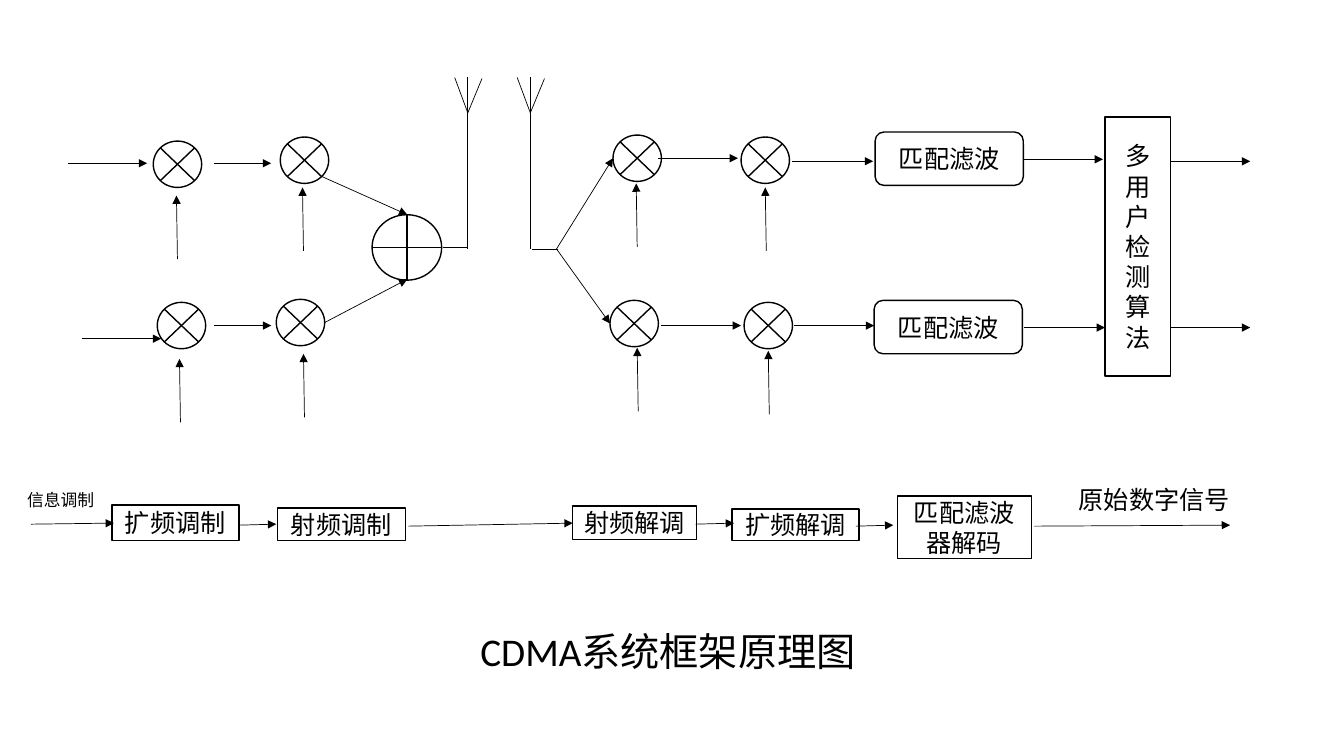
from typing import NamedTuple

import pptx
import pptx.dml.color
import pptx.enum.shapes
import pptx.enum.text
import pptx.oxml.ns
import pptx.util
from lxml import etree

EMU_PER_PX = 9144  # 100 px to the inch
BLACK, WHITE = "000000", "FFFFFF"
FONT = "Calibri"
SHAPES = pptx.enum.shapes.MSO_SHAPE
ALIGN = pptx.enum.text.PP_ALIGN
ANCHOR = pptx.enum.text.MSO_ANCHOR


class Mixer(NamedTuple):
    left: int
    top: int
    carrier_x: int
    carrier_tip: int


class Block(NamedTuple):
    text: str
    left: int
    top: int
    width: int
    height: int
    preset: int = SHAPES.RECTANGLE


class Signal(NamedTuple):
    x1: int
    y1: int
    x2: int
    y2: int
    arrow: bool = True


class Label(NamedTuple):
    text: str
    left: int
    top: int
    width: int
    height: int
    size: int
    wrap: bool


MIXER_WIDTH, MIXER_HEIGHT, CARRIER_LENGTH = 48, 46, 63
MIXERS = [
    Mixer(152, 140, 175, 194), Mixer(278, 136, 300, 186),
    Mixer(156, 300, 178, 356), Mixer(274, 297, 301, 351),
    Mixer(608, 134, 631, 182), Mixer(735, 136, 759, 186),
    Mixer(605, 298, 632, 345), Mixer(738, 300, 762, 348),
]
ADDER = (369, 213, 69, 65)
ANTENNA_XS = (464, 526)

BLOCKS = [
    Block("匹配滤波", 868, 131, 147, 53, SHAPES.ROUNDED_RECTANGLE),
    Block("匹配滤波", 867, 298, 147, 53, SHAPES.ROUNDED_RECTANGLE),
    Block("多用户检测算法", 1096, 116, 65, 257),
    Block("扩频调制", 111, 501, 126, 35),
    Block("射频调制", 275, 504, 127, 32),
    Block("射频解调", 568, 502, 123, 33),
    Block("扩频解调", 726, 505, 126, 31),
    Block("匹配滤波器解码", 890, 492, 133, 62),
]

SIGNALS = [
    # Transmitter inputs and the links between its mixers
    Signal(67, 162, 146, 162), Signal(81, 336, 160, 336),
    Signal(212, 162, 269, 162), Signal(212, 323, 269, 323),
    # Adder inputs and output
    Signal(319, 175, 404, 213), Signal(322, 320, 404, 277),
    Signal(439, 245, 464, 245, False),
    # Receiver split
    Signal(528, 247, 553, 247, False),
    Signal(552, 247, 608, 157), Signal(552, 247, 605, 321),
    # Receiver branches
    Signal(653, 157, 732, 157), Signal(656, 323, 735, 323),
    Signal(786, 160, 866, 160), Signal(788, 323, 867, 323),
    Signal(1015, 158, 1094, 158), Signal(1016, 325, 1096, 325),
    Signal(1161, 160, 1240, 160), Signal(1161, 325, 1240, 325),
    # Summary chain
    Signal(31, 520, 113, 519), Signal(237, 521, 274, 520),
    Signal(405, 522, 568, 519), Signal(690, 520, 728, 519),
    Signal(849, 522, 886, 521), Signal(1026, 522, 1220, 521),
]

LABELS = [
    Label("信息调制", 17, 481, 90, 30, 12, True),
    Label("原始数字信号", 1060, 476, 172, 40, 18, False),
]


def px(length: int) -> pptx.util.Emu:
    return pptx.util.Emu(length * EMU_PER_PX)


def paint(color_format, hex_color: str) -> None:
    color_format.rgb = pptx.dml.color.RGBColor.from_string(hex_color)


def write(frame, text: str, size: int, align) -> None:
    frame.text = text
    paragraph = frame.paragraphs[0]
    paragraph.alignment = align
    font = paragraph.runs[0].font
    font.name = FONT
    font.size = pptx.util.Pt(size)
    paint(font.color, BLACK)


def draw_shape(slide, preset: int, left: int, top: int, width: int, height: int):
    shape = slide.shapes.add_shape(preset, px(left), px(top), px(width), px(height))
    shape.shadow.inherit = False
    shape.fill.solid()
    paint(shape.fill.fore_color, WHITE)
    paint(shape.line.color, BLACK)
    shape.line.width = pptx.util.Pt(1)
    return shape


def draw_signal(slide, signal: Signal) -> None:
    line = slide.shapes.add_connector(
        pptx.enum.shapes.MSO_CONNECTOR.STRAIGHT,
        px(signal.x1), px(signal.y1), px(signal.x2), px(signal.y2))
    paint(line.line.color, BLACK)
    line.line.width = pptx.util.Pt(0.5)
    qn = pptx.oxml.ns.qn
    properties = line._element.spPr
    if signal.arrow:
        etree.SubElement(properties.find(qn("a:ln")), qn("a:tailEnd"), type="triangle")
    etree.SubElement(properties, qn("a:effectLst"))


def draw_mixer(slide, mixer: Mixer) -> None:
    draw_shape(slide, SHAPES.FLOWCHART_SUMMING_JUNCTION,
               mixer.left, mixer.top, MIXER_WIDTH, MIXER_HEIGHT)
    draw_signal(slide, Signal(mixer.carrier_x + 1, mixer.carrier_tip + CARRIER_LENGTH,
                              mixer.carrier_x, mixer.carrier_tip))


def draw_antenna(slide, x: int) -> None:
    draw_signal(slide, Signal(x, 247, x, 76, False))
    draw_signal(slide, Signal(x, 112, x - 13, 77, False))
    draw_signal(slide, Signal(x, 112, x + 14, 78, False))


def draw_block(slide, block: Block) -> None:
    shape = draw_shape(slide, block.preset, block.left, block.top,
                       block.width, block.height)
    shape.text_frame.vertical_anchor = ANCHOR.MIDDLE
    write(shape.text_frame, block.text, 18, ALIGN.CENTER)


def draw_label(slide, label: Label) -> None:
    box = slide.shapes.add_textbox(px(label.left), px(label.top),
                                   px(label.width), px(label.height))
    box.text_frame.word_wrap = label.wrap
    write(box.text_frame, label.text, label.size, ALIGN.LEFT)


def place_title(slide) -> None:
    title = slide.shapes.title
    title.left, title.top, title.width, title.height = map(px, (464, 617, 397, 57))
    frame = title.text_frame
    frame.word_wrap = True
    frame.auto_size = pptx.enum.text.MSO_AUTO_SIZE.NONE
    frame.vertical_anchor = ANCHOR.TOP
    write(frame, "CDMA系统框架原理图", 28, ALIGN.CENTER)


def main() -> None:
    deck = pptx.Presentation()
    deck.slide_width, deck.slide_height = px(1333), px(750)
    slide = deck.slides.add_slide(deck.slide_layouts[5])

    place_title(slide)
    # Nodes
    for mixer in MIXERS:
        draw_mixer(slide, mixer)
    draw_shape(slide, SHAPES.FLOWCHART_OR, *ADDER)
    for block in BLOCKS:
        draw_block(slide, block)
    # Lines and labels
    for x in ANTENNA_XS:
        draw_antenna(slide, x)
    for signal in SIGNALS:
        draw_signal(slide, signal)
    for label in LABELS:
        draw_label(slide, label)

    deck.save("out.pptx")


if __name__ == "__main__":
    main()
